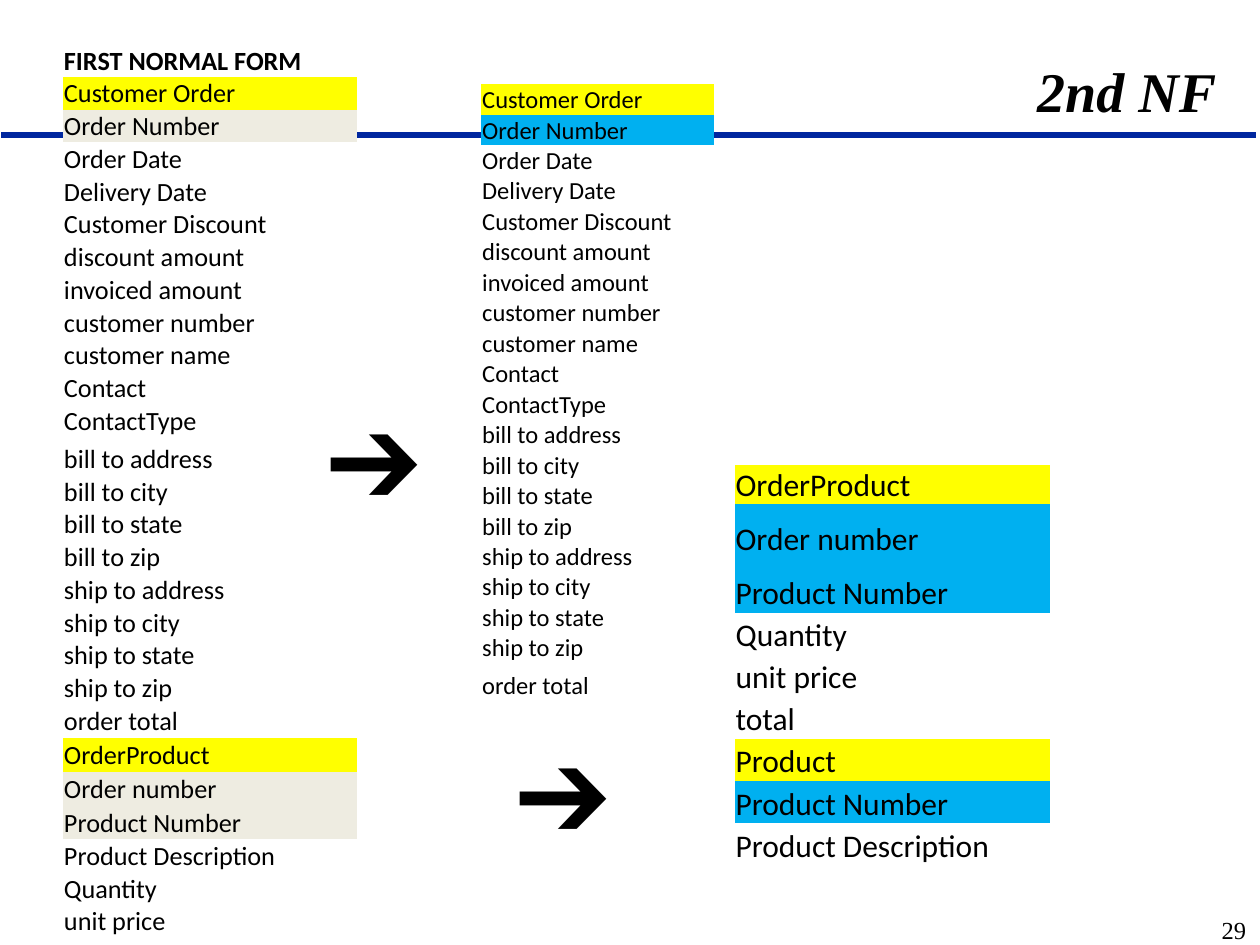
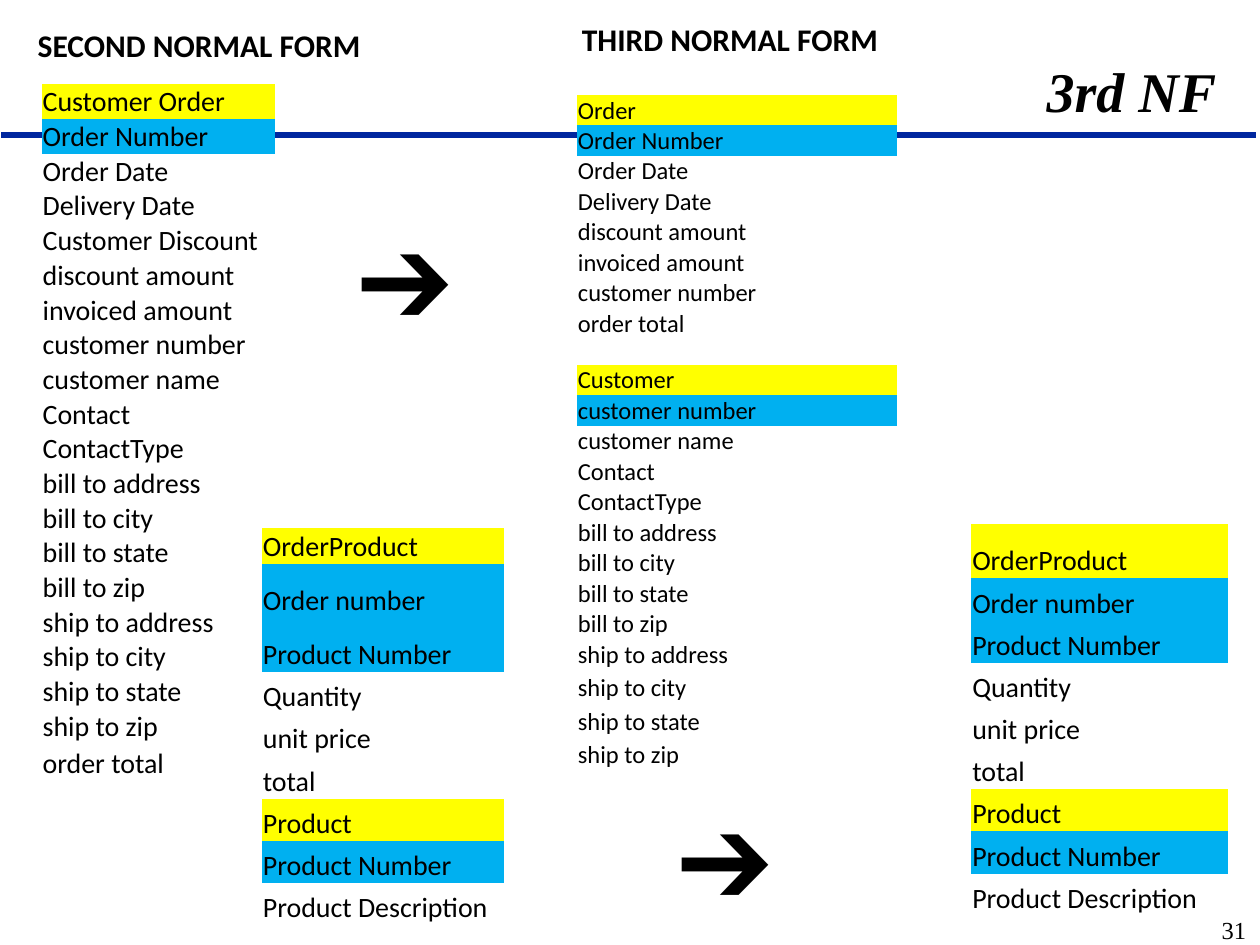
from dataclasses import dataclass, field

from lxml import etree
from pptx import Presentation
from pptx import util as u
from pptx.dml.color import RGBColor
from pptx.enum import shapes, text
from pptx.oxml.ns import qn

NAVY, BLACK = "00279F", "000000"
YELLOW, BLUE, BEIGE = "FFFF00", "00B0F0", "EEECE1"
SANS, SERIF = "Calibri", "Times New Roman"
PLAIN = "{2D5ABB26-0587-4C30-8999-92F81FD0307C}"  # table style without grid


@dataclass
class Row:
    words: str
    fill: str = ""
    bold: bool = False


@dataclass
class Grid:
    """A one-column table; tall maps row numbers to heights other than step."""
    left: float
    top: float
    width: float
    size: int
    step: float
    rows: list[Row]
    tall: dict[int, float] = field(default_factory=dict)


@dataclass
class Label:
    words: str
    left: float
    top: float
    width: float
    height: float
    size: int = 60
    align: text.PP_ALIGN = text.PP_ALIGN.CENTER
    anchor: text.MSO_ANCHOR = text.MSO_ANCHOR.TOP
    strong: bool = False


@dataclass
class Page:
    title: str
    number: str
    items: list[Grid | Label]


# Shared drawing
def color(code: str) -> RGBColor:
    return RGBColor.from_string(code)


def style(para, face: str, size: int, bold: bool = False) -> None:
    font = para.font
    font.name, font.size, font.bold = face, u.Pt(size), bold
    font.color.rgb = color(BLACK)


def draw_label(slide, item: Label) -> None:
    box = slide.shapes.add_textbox(u.Cm(item.left), u.Cm(item.top),
                                   u.Cm(item.width), u.Cm(item.height))
    frame = box.text_frame
    frame.word_wrap = True
    frame.vertical_anchor = item.anchor
    para = frame.paragraphs[0]
    para.text, para.alignment = item.words, item.align
    style(para, SERIF, item.size, item.strong)
    para.font.italic = item.strong


def draw_grid(slide, item: Grid) -> None:
    highs = [item.tall.get(i, item.step) for i in range(len(item.rows))]
    table = slide.shapes.add_table(
        len(highs), 1, u.Cm(item.left), u.Cm(item.top),
        u.Cm(item.width), u.Cm(sum(highs))).table
    table.first_row = table.horz_banding = False
    table._tbl.tblPr.find(qn("a:tableStyleId")).text = PLAIN
    for i, (row, high) in enumerate(zip(item.rows, highs)):
        table.rows[i].height = u.Cm(high)
        cell = table.cell(i, 0)
        cell.margin_left = cell.margin_right = cell.margin_top = u.Cm(0.02)
        cell.margin_bottom = 0
        cell.vertical_anchor = text.MSO_ANCHOR.BOTTOM
        para = cell.text_frame.paragraphs[0]
        if row.words:
            para.text = row.words
            style(para, SANS, item.size, row.bold)
        else:
            style(para, SANS, 11)
        if row.fill:
            cell.fill.solid()
            cell.fill.fore_color.rgb = color(row.fill)
        else:
            cell.fill.background()


def draw_page(deck, page: Page) -> None:
    slide = deck.slides.add_slide(deck.slide_layouts[6])
    rule = slide.shapes.add_connector(
        shapes.MSO_CONNECTOR.STRAIGHT,
        u.Cm(0.03), u.Cm(2.72), u.Cm(25.32), u.Cm(2.72))
    rule.line.color.rgb = color(NAVY)
    rule.line.width = u.Pt(3.75)
    etree.SubElement(rule._element.spPr, qn("a:effectLst"))
    right, mid = text.PP_ALIGN.RIGHT, text.MSO_ANCHOR.MIDDLE
    draw_label(slide, Label(page.number, 20.09, 18.44, 5.28, 0.61, 14, right, mid))
    draw_label(slide, Label(page.title, 3.18, 0.1, 21.59, 2.51, 32, right,
                            text.MSO_ANCHOR.BOTTOM, True))
    for item in page.items:
        if isinstance(item, Grid):
            draw_grid(slide, item)
        else:
            draw_label(slide, item)


# Entities and their fields
def entity(head: str, keys: list[str], names: list[str], tint: str = BLUE) -> list[Row]:
    return ([Row(head, YELLOW)] + [Row(key, tint) for key in keys]
            + [Row(name) for name in names])


def arrow(left: float, top: float, width: float = 2.79, words: str = "➔") -> Label:
    return Label(words, left, top, width, 2.82)


DATES = ["Order Date", "Delivery Date"]
SUMS = ["discount amount", "invoiced amount", "customer number"]
BUYER = ["customer name", "Contact", "ContactType"] + [
    f"{kind} to {place}" for kind in ("bill", "ship")
    for place in ("address", "city", "state", "zip")]
ORDER = DATES + ["Customer Discount"] + SUMS + BUYER + ["order total"]
PAIR = ["Order number", "Product Number"]
ABOUT = "Product Description"

FIRST = ([Row("FIRST NORMAL FORM", bold=True)]
         + entity("Customer Order", ["Order Number"], ORDER, BEIGE)
         + entity("OrderProduct", PAIR, [ABOUT, "Quantity", "unit price"], BEIGE))
SECOND = entity("Customer Order", ["Order Number"], ORDER)
GOODS = (entity("OrderProduct", PAIR, ["Quantity", "unit price", "total"])
         + entity("Product", ["Product Number"], [ABOUT]))
THIRD = (entity("Order", ["Order Number"], DATES + SUMS + ["order total"])
         + [Row("")] + entity("Customer", ["customer number"], BUYER))

PAGES = [
    Page("2nd NF", "29", [
        Grid(1.27, 0.89, 5.92, 15, 0.66, FIRST,
             {12: 0.77} | dict.fromkeys(range(20, 24), 0.68)),
        arrow(6.15, 7.87),
        Grid(9.7, 1.7, 4.7, 14, 0.61, SECOND, {19: 0.77}),
        arrow(9.96, 14.61),
        Grid(14.81, 9.37, 6.35, 18, 0.85, GOODS, {0: 0.8, 1: 1.09, 2: 1.09}),
    ]),
    Page("3rd NF", "31", [
        arrow(6.78, 4.24),
        Grid(0.84, 1.7, 4.7, 16, 0.7, SECOND, {19: 0.77}),
        arrow(11.15, 15.93, 7.47, "➔ "),
        Grid(5.28, 10.64, 4.88, 16, 0.85, GOODS, {0: 0.73, 1: 1.09, 2: 1.09}),
        Grid(0.74, 0.48, 11.61, 18, 0.85, [Row("SECOND NORMAL FORM", bold=True)]),
        Grid(11.71, 0.36, 10.46, 18, 0.85, [Row("THIRD NORMAL FORM", bold=True)]),
        Grid(19.58, 10.57, 5.18, 16, 0.85, GOODS, {0: 1.09}),
        Grid(11.63, 1.91, 6.45, 14, 0.61, THIRD,
             {8: 0.53} | dict.fromkeys(range(19, 22), 0.68)),
    ]),
]


def main() -> None:
    deck = Presentation()
    deck.slide_width, deck.slide_height = u.Cm(25.4), u.Cm(19.05)
    for page in PAGES:
        draw_page(deck, page)
    deck.save("out.pptx")


if __name__ == "__main__":
    main()
